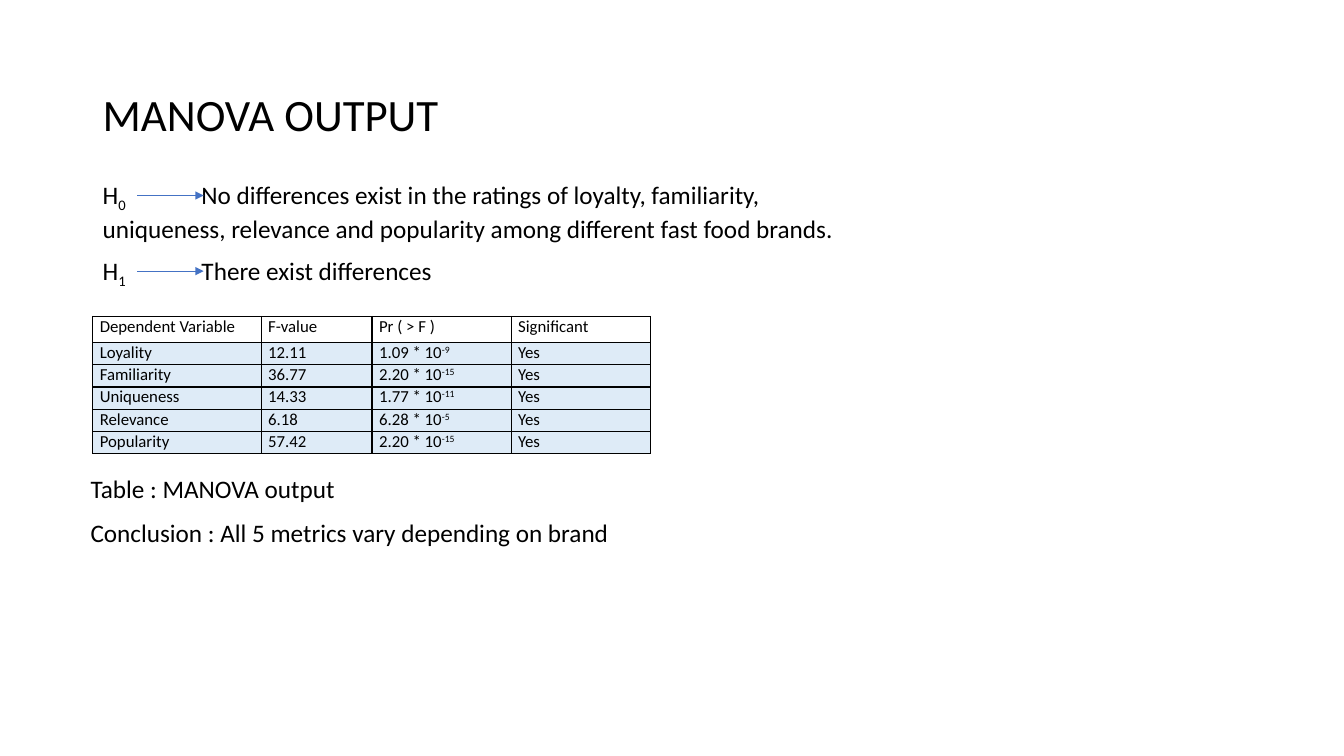
from dataclasses import dataclass

from lxml.etree import SubElement as add_node
from pptx import Presentation
from pptx.dml.color import RGBColor as Color
from pptx.enum.shapes import MSO_CONNECTOR as Connector
from pptx.enum.text import MSO_ANCHOR as Anchor
from pptx.oxml.ns import qn
from pptx.util import Inches, Pt


@dataclass(frozen=True)
class Theme:
    font: str = "Calibri"
    ink: str = "000000"
    arrow: str = "4472C4"
    band: str = "DEEBF7"
    title_size: int = 32
    body_size: int = 18
    table_size: int = 12


class SlideBuilder:
    def __init__(self, page, theme):
        self.page = page
        self.theme = theme

    def add_spans(self, para, spans, size):
        para.font.name = self.theme.font
        para.font.size = Pt(size)
        para.font.color.rgb = Color.from_string(self.theme.ink)
        for words, baseline in spans:
            span = para.add_run()
            span.text = words
            if baseline:
                span.font._element.set("baseline", str(baseline * 1000))

    def text(self, left, top, width, height, lines, size=None, wrap=True, anchor=Anchor.TOP):
        box = self.page.shapes.add_textbox(
            Inches(left), Inches(top), Inches(width), Inches(height))
        frame = box.text_frame
        frame.word_wrap = wrap
        frame.vertical_anchor = anchor
        for index, spans in enumerate(lines):
            para = frame.add_paragraph() if index else frame.paragraphs[0]
            self.add_spans(para, spans, size or self.theme.body_size)
        return frame

    def hypothesis(self, top, height, number, lines):
        first, *rest = lines
        opening = [("H", 0), (number, -25), ("\t" + first, 0)]
        frame = self.text(0.92, top, 9.08, height, [opening] + [[(line, 0)] for line in rest])
        properties = frame.paragraphs[0]._p.get_or_add_pPr()
        tabs = properties.makeelement(qn("a:tabLst"))
        properties.insert(0, tabs)
        add_node(tabs, qn("a:tab"), pos=str(Inches(0.98)), algn="l")
        self.arrow(1.36, 2.02, top + 0.21)

    def arrow(self, start, end, height):
        line = self.page.shapes.add_connector(
            Connector.STRAIGHT, Inches(start), Inches(height), Inches(end), Inches(height))
        line.line.color.rgb = Color.from_string(self.theme.arrow)
        line.line.width = Pt(0.5)
        add_node(line.line._get_or_add_ln(), qn("a:tailEnd"), type="triangle")
        add_node(line._element.spPr, qn("a:effectLst"))

    def border(self, cell):
        properties = cell._tc.get_or_add_tcPr()
        for side in ("lnL", "lnR", "lnT", "lnB"):
            edge = add_node(properties, qn("a:" + side), w=str(Pt(1)))
            fill = add_node(edge, qn("a:solidFill"))
            add_node(fill, qn("a:srgbClr"), val=self.theme.ink)

    def table(self, left, top, widths, heights, rows):
        table = self.page.shapes.add_table(
            len(rows), len(widths), Inches(left), Inches(top),
            Inches(sum(widths)), Inches(sum(heights))).table
        table.first_row = False
        table.horz_banding = False
        for column, width in zip(table.columns, widths):
            column.width = Inches(width)
        for row, height in zip(table.rows, heights):
            row.height = Inches(height)
        for row_index, row in enumerate(rows):
            for column_index, spans in enumerate(row):
                cell = table.cell(row_index, column_index)
                cell.margin_left = cell.margin_right = Inches(0.07)
                cell.margin_top = cell.margin_bottom = 0
                self.add_spans(cell.text_frame.paragraphs[0], spans, self.theme.table_size)
                self.border(cell)
                if row_index:
                    cell.fill.solid()
                    cell.fill.fore_color.rgb = Color.from_string(self.theme.band)
                else:
                    cell.fill.background()


HEADINGS = ("Dependent Variable", "F-value", "Pr ( > F )", "Significant")
RESULTS = (
    ("Loyality", "12.11", "1.09", "-9"),
    ("Familiarity", "36.77", "2.20", "-15"),
    ("Uniqueness", "14.33", "1.77", "-11"),
    ("Relevance", "6.18", "6.28", "-5"),
    ("Popularity", "57.42", "2.20", "-15"),
)


def main():
    deck = Presentation()
    deck.slide_width = Inches(13.33)
    deck.slide_height = Inches(7.5)
    theme = Theme()
    builder = SlideBuilder(deck.slides.add_slide(deck.slide_layouts[6]), theme)

    builder.text(0.92, 0.4, 11.5, 1.45, [[("MANOVA OUTPUT", 0)]],
                 theme.title_size, anchor=Anchor.MIDDLE)
    builder.hypothesis(1.73, 1.01, "0", [
        "No differences exist in the ratings of loyalty, familiarity,",
        "uniqueness, relevance and popularity among different fast food brands."])
    builder.hypothesis(2.48, 0.4, "1", ["There exist differences"])

    rows = [[[(heading, 0)] for heading in HEADINGS]]
    for variable, f_value, factor, exponent in RESULTS:
        rows.append([[(variable, 0)], [(f_value, 0)],
                     [(factor + " * 10", 0), (exponent, 30)], [("Yes", 0)]])
    builder.table(0.92, 3.14, (1.67, 1.1, 1.38, 1.38), [0.26] + [0.22] * len(RESULTS), rows)

    builder.text(0.8, 4.65, 2.65, 0.4, [[("Table : MANOVA output", 0)]], wrap=False)
    builder.text(0.8, 5.08, 5.4, 0.4,
                 [[("Conclusion : All 5 metrics vary depending on brand", 0)]], wrap=False)
    deck.save("out.pptx")


if __name__ == "__main__":
    main()
